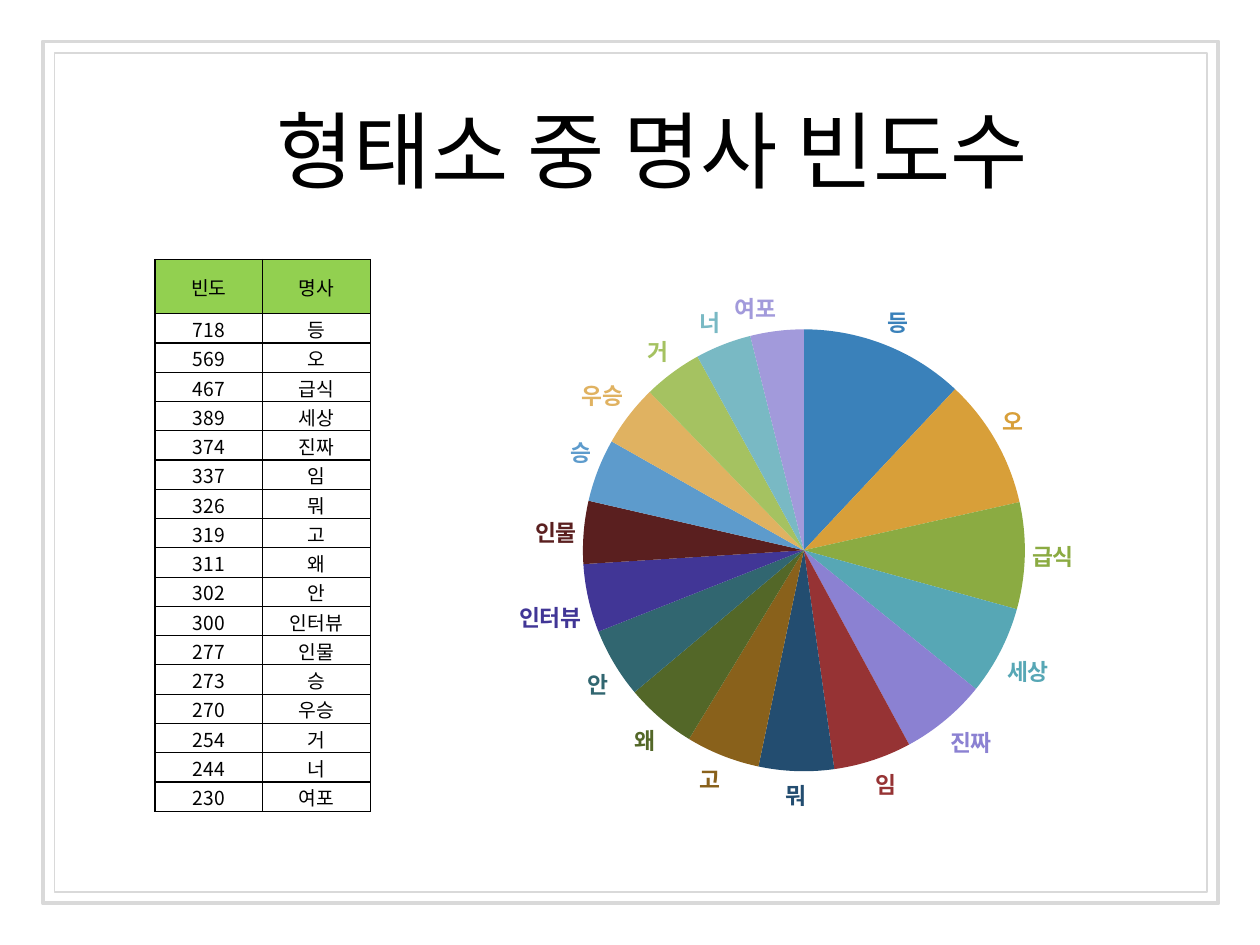
from dataclasses import dataclass

from lxml.etree import SubElement as add_sub
from pptx import Presentation
from pptx.chart.data import CategoryChartData as ChartData
from pptx.dml.color import RGBColor as Rgb
from pptx.enum.chart import XL_CHART_TYPE as Kind, XL_LABEL_POSITION as Spot
from pptx.enum.shapes import MSO_SHAPE as Shape
from pptx.enum.text import MSO_ANCHOR as Anchor, MSO_AUTO_SIZE as Fit, PP_ALIGN as Align
from pptx.oxml import parse_xml
from pptx.oxml.ns import nsdecls, qn
from pptx.util import Inches, Pt

COLORS = {"frame": "D9D9D9", "head": "92D050", "ink": "000000", "paper": "FFFFFF"}
SERIF = "Cambria"
SANS = "Noto Sans CJK KR"


@dataclass
class Box:
    left: float
    top: float
    width: float
    height: float

    def spans(self) -> list:
        return [Inches(n) for n in (self.left, self.top, self.width, self.height)]


@dataclass
class Frame:
    box: Box
    weight: float


@dataclass
class Noun:
    word: str
    count: int
    color: str


FRAMES = [
    Frame(Box(0.43, 0.42, 9.15, 6.66), 0.75),
    Frame(Box(0.34, 0.33, 9.33, 6.84), 2.25),
]
NOUNS = [
    Noun("등", 718, "3A81BA"),
    Noun("오", 569, "D89F39"),
    Noun("급식", 467, "8BAB42"),
    Noun("세상", 389, "57A7B5"),
    Noun("진짜", 374, "8B81D2"),
    Noun("임", 337, "963334"),
    Noun("뭐", 326, "234D70"),
    Noun("고", 319, "89611B"),
    Noun("왜", 311, "536728"),
    Noun("안", 302, "316670"),
    Noun("인터뷰", 300, "413696"),
    Noun("인물", 277, "5A1F1F"),
    Noun("승", 273, "5D9BCC"),
    Noun("우승", 270, "E0B261"),
    Noun("거", 254, "A5C261"),
    Noun("너", 244, "79B9C4"),
    Noun("여포", 230, "A29ADB"),
]


def style_font(font, name: str, size: float, color: str) -> None:
    font.name = name
    font.size = Pt(size)
    font.color.rgb = Rgb.from_string(color)


def draw_frame(slide, frame: Frame) -> None:
    rect = slide.shapes.add_shape(Shape.RECTANGLE, *frame.box.spans())
    rect.shadow.inherit = False
    rect.fill.background()
    rect.line.color.rgb = Rgb.from_string(COLORS["frame"])
    rect.line.width = Pt(frame.weight)


def draw_title(slide, box: Box, text: str) -> None:
    title = slide.shapes.title
    title.left, title.top, title.width, title.height = box.spans()
    title.line.color.rgb = Rgb.from_string(COLORS["paper"])
    title.line.width = Pt(0.25)
    body = title.text_frame
    body.text = text
    body.word_wrap = True
    body.auto_size = Fit.NONE
    body.vertical_anchor = Anchor.TOP
    body.margin_left = body.margin_right = Inches(0.1)
    body.margin_top = body.margin_bottom = Inches(0.1)
    line = body.paragraphs[0]
    line.alignment = Align.CENTER
    style_font(line.runs[0].font, SERIF, 48, COLORS["ink"])


def add_edges(cell) -> None:
    props = cell._tc.get_or_add_tcPr()
    for spot, side in enumerate(("lnL", "lnR", "lnT", "lnB")):
        edge = parse_xml(
            f'<a:{side} {nsdecls("a")} w="{Pt(0.75)}"><a:solidFill>'
            f'<a:srgbClr val="{COLORS["ink"]}"/></a:solidFill></a:{side}>'
        )
        props.insert(spot, edge)


def fill_cell(cell, text: str, color: str | None) -> None:
    cell.text_frame.text = text
    cell.vertical_anchor = Anchor.MIDDLE
    cell.margin_left = cell.margin_right = cell.margin_top = Inches(0.01)
    cell.margin_bottom = 0
    line = cell.text_frame.paragraphs[0]
    line.alignment = Align.CENTER
    style_font(line.runs[0].font, SANS, 11, COLORS["ink"])
    if color:
        cell.fill.solid()
        cell.fill.fore_color.rgb = Rgb.from_string(color)
    else:
        cell.fill.background()
    add_edges(cell)


def draw_table(slide, box: Box, nouns: list[Noun]) -> None:
    rows = [("빈도", "명사")] + [(str(n.count), n.word) for n in nouns]
    table = slide.shapes.add_table(len(rows), 2, *box.spans()).table
    head = 0.43
    step = (box.height - head) / len(nouns)
    for col in table.columns:
        col.width = Inches(box.width / 2)
    for r, row in enumerate(rows):
        table.rows[r].height = Inches(step if r else head)
        for c, text in enumerate(row):
            fill_cell(table.cell(r, c), text, None if r else COLORS["head"])


def place_plot(chart, box: Box) -> None:
    area = chart.element.find(".//" + qn("c:plotArea"))
    layout = area.find(qn("c:layout"))
    if layout is None:
        layout = parse_xml(f'<c:layout {nsdecls("c")}/>')
        area.insert(0, layout)
    hand = add_sub(layout, qn("c:manualLayout"))
    marks = {
        "layoutTarget": "inner", "xMode": "edge", "yMode": "edge",
        "x": box.left, "y": box.top, "w": box.width, "h": box.height,
    }
    for tag, value in marks.items():
        add_sub(hand, qn(f"c:{tag}")).set("val", str(value))


def draw_pie(slide, box: Box, nouns: list[Noun]) -> None:
    total = sum(n.count for n in nouns)
    data = ChartData()
    data.categories = [n.word for n in nouns]
    data.add_series("Series 1", [round(100 * n.count / total, 1) for n in nouns])
    chart = slide.shapes.add_chart(Kind.PIE, *box.spans(), data).chart
    chart.has_legend = False
    chart.has_title = False
    style_font(chart.font, SANS, 10, COLORS["ink"])
    plot = chart.plots[0]
    plot.vary_by_categories = True
    pie = plot.series[0]
    for i, noun in enumerate(nouns):
        slice_ = pie.points[i]
        slice_.format.fill.solid()
        slice_.format.fill.fore_color.rgb = Rgb.from_string(noun.color)
        slice_.format.line.fill.background()
        label = slice_.data_label
        style_font(label.font, SANS, 13, noun.color)
        label.font.bold = True
        label.position = Spot.OUTSIDE_END
    labels = pie.data_labels
    labels.show_value = False
    labels.show_category_name = True
    labels.position = Spot.OUTSIDE_END
    for mark in chart.element.iter(qn("c:dLbl")):
        mark.find(qn("c:showVal")).set("val", "0")
        mark.find(qn("c:showCatName")).set("val", "1")
    place_plot(chart, Box(0.22, 0.1, 0.58, 0.79))


def main() -> None:
    deck = Presentation()
    deck.slide_width, deck.slide_height = Inches(10), Inches(7.5)
    slide = deck.slides.add_slide(deck.slide_layouts[5])
    for frame in FRAMES:
        draw_frame(slide, frame)
    draw_title(slide, Box(1.76, 0.68, 6.84, 0.94), "형태소 중 명사 빈도수")
    draw_pie(slide, Box(3.29, 2.17, 6.06, 4.44), NOUNS)
    draw_table(slide, Box(1.23, 2.06, 1.71, 4.38), NOUNS)
    deck.save("out.pptx")


if __name__ == "__main__":
    main()
